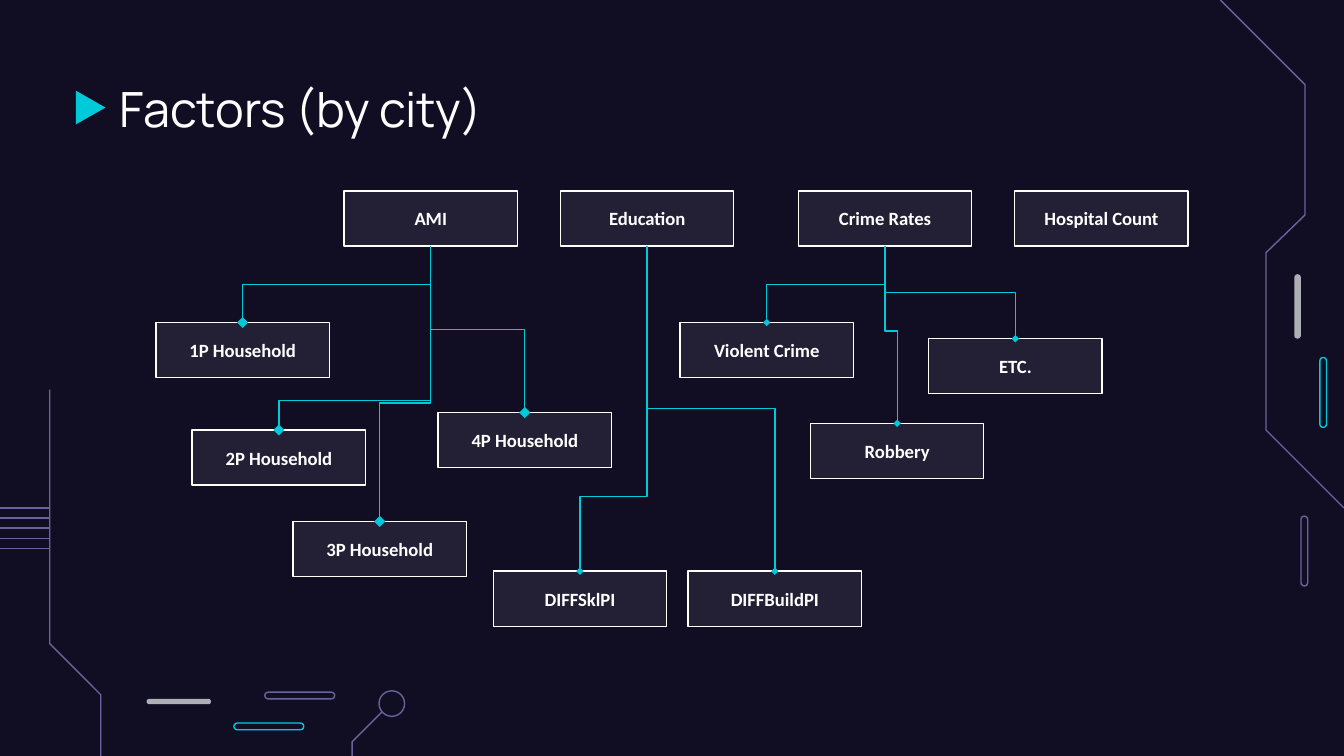
from pptx import Presentation
from pptx.dml.color import RGBColor
from pptx.enum.shapes import MSO_CONNECTOR as Link, MSO_SHAPE as Kind
from pptx.enum.text import MSO_ANCHOR as Anchor, MSO_AUTO_SIZE as Fit, PP_ALIGN as Align
from pptx.oxml.ns import qn
from pptx.oxml.xmlchemy import OxmlElement as Node
from pptx.util import Inches, Pt

NIGHT = RGBColor(0x11, 0x0E, 0x24)
WHITE = RGBColor(0xFF, 0xFF, 0xFF)
CYAN = RGBColor(0x00, 0xCA, 0xDA)
VIOLET = RGBColor(0x69, 0x63, 0x9C)
GREY = RGBColor(0xAF, 0xAF, 0xB6)
WIDE = 10
HIGH = WIDE * 9 / 16
BOX_W, BOX_H = 1.29, 0.41


def paint(shape, fill=None, line=None):
    shape.shadow.inherit = False
    if fill is None:
        shape.fill.background()
    else:
        shape.fill.solid()
        shape.fill.fore_color.rgb = fill
    if line is None:
        shape.line.fill.background()
    else:
        shape.line.color.rgb = line
        shape.line.width = Pt(0.75)


def add(slide, kind, x, y, w, h, fill=None, line=None):
    shape = slide.shapes.add_shape(kind, Inches(x), Inches(y), Inches(w), Inches(h))
    paint(shape, fill, line)
    return shape


def pill(slide, x, y, w, h, fill=None, line=None):
    add(slide, Kind.ROUNDED_RECTANGLE, x, y, w, h, fill, line).adjustments[0] = 0.5


def trace(slide, x, y, points):
    spots = [(Inches(x + dx), Inches(y + dy)) for dx, dy in points]
    form = slide.shapes.build_freeform(*spots[0])
    form.add_line_segments(spots[1:], close=False)
    paint(form.convert_to_shape(), line=VIOLET)


def wire(slide, kind, x1, y1, x2, y2, color):
    line = slide.shapes.add_connector(kind, Inches(x1), Inches(y1), Inches(x2), Inches(y2))
    line.line.color.rgb = color
    line.line.width = Pt(0.75)
    line._element.spPr.append(Node("a:effectLst"))
    return line


def right_side(slide, x, y):
    """Circuit trace and pills along the right edge."""
    trace(slide, x, y, [(0.92, 3.78), (0.34, 3.2), (0.34, 1.88), (0.63, 1.6),
                        (0.63, 0.63), (0, 0)])
    pill(slide, x + 0.55, y + 2.04, 0.05, 0.48, fill=GREY)
    pill(slide, x + 0.74, y + 2.66, 0.05, 0.52, line=CYAN)
    pill(slide, x + 0.6, y + 3.84, 0.05, 0.52, line=VIOLET)


def left_side(slide, x, y):
    """Circuit traces and pills in the lower left corner."""
    trace(slide, x, y, [(0.75, HIGH - y), (0.75, 2.27), (0.37, 1.89), (0.37, 0)])
    for i in range(5):
        rung = y + 0.88 + 0.075 * i
        wire(slide, Link.STRAIGHT, x, rung, x + 0.37, rung, VIOLET)
    pill(slide, x + 1.09, y + 2.3, 0.48, 0.04, fill=GREY)
    pill(slide, x + 1.97, y + 2.25, 0.52, 0.05, line=VIOLET)
    pill(slide, x + 1.74, y + 2.48, 0.52, 0.05, line=CYAN)
    trace(slide, x, y, [(2.84, 2.4), (2.62, 2.62), (2.62, HIGH - y)])
    add(slide, Kind.OVAL, x + 2.82, y + 2.24, 0.19, 0.19, line=VIOLET)


def heading(slide, x, y, w, h):
    """Title with the arrow marker on its left."""
    mark = add(slide, Kind.FLOWCHART_MERGE, x - 0.24, y + 0.2, 0.25, 0.22, fill=CYAN)
    mark.rotation = 270
    title = slide.shapes.title
    title.left, title.top, title.width, title.height = map(Inches, (x, y, w, h))
    frame = title.text_frame
    frame.text = "Factors (by city)"
    frame.word_wrap = True
    frame.auto_size = Fit.NONE
    frame.vertical_anchor = Anchor.MIDDLE
    frame.margin_left = frame.margin_right = Inches(0.1)
    frame.margin_top = frame.margin_bottom = Inches(0.1)
    para = frame.paragraphs[0]
    para.alignment = Align.LEFT
    para.font.name, para.font.size = "Manrope", Pt(26)
    para.font.color.rgb = WHITE


def card(slide, x, y, text):
    box = add(slide, Kind.RECTANGLE, x, y, BOX_W, BOX_H, WHITE, WHITE)
    # Fill at 8 % opacity
    alpha = Node("a:alpha")
    alpha.set("val", "8000")
    box._element.spPr.find(qn("a:solidFill"))[0].append(alpha)
    frame = box.text_frame
    frame.text = text
    frame.word_wrap = True
    frame.vertical_anchor = Anchor.MIDDLE
    para = frame.paragraphs[0]
    para.alignment = Align.CENTER
    para.font.name, para.font.size, para.font.bold = "Calibri", Pt(10), True
    para.font.color.rgb = WHITE
    return box


def branch(slide, root, kid, bend, size):
    """Elbow from the foot of root to the head of kid, turning at bend."""
    line = wire(slide, Link.ELBOW, 0, 0, 0, 0, CYAN)
    line.begin_connect(root, 2)
    line.end_connect(kid, 0)
    # A turned frame makes the elbow leave downwards
    x1, y1 = root.left + root.width // 2, root.top + root.height
    x2, y2 = kid.left + kid.width // 2, kid.top
    line.width, line.height = y2 - y1, abs(x2 - x1)
    line.left = (x1 + x2 - line.width) // 2
    line.top = (y1 + y2 - line.height) // 2
    props = line._element.spPr
    frame = props.find(qn("a:xfrm"))
    right = x2 > x1
    frame.set("rot", str((270 if right else 90) * 60000))
    frame.set("flipH", "1" if right else "0")
    frame.set("flipV", "0")
    # Place of the bend
    guide = Node("a:gd")
    guide.set("name", "adj1")
    guide.set("fmla", f"val {round(bend * 100000)}")
    props.find(qn("a:prstGeom")).get_or_add_avLst().append(guide)
    # Diamond at the kid
    tip = Node("a:tailEnd")
    for key, val in (("type", "diamond"), ("w", size), ("len", size)):
        tip.set(key, val)
    props.find(qn("a:ln")).append(tip)


def tree(slide, x, y, name, kids=(), size="sm"):
    """Root card at x, y; kids are (text, dx, dy, bend) from there."""
    root = card(slide, x, y, name)
    for text, dx, dy, bend in kids:
        branch(slide, root, card(slide, x + dx, y + dy, text), bend, size)


def main():
    deck = Presentation()
    deck.slide_width, deck.slide_height = Inches(WIDE), Inches(HIGH)
    slide = deck.slides.add_slide(deck.slide_layouts[5])
    slide.background.fill.solid()
    slide.background.fill.fore_color.rgb = NIGHT

    right_side(slide, 9.08, 0)
    left_side(slide, 0, 2.9)
    heading(slide, 0.79, 0.49, 8.43, 0.63)

    # Factor trees
    top = 1.42
    tree(slide, 2.56, top, "AMI", [
        ("1P Household", -1.4, 0.98, 0.5),
        ("2P Household", -1.13, 1.78, 0.84),
        ("3P Household", -0.38, 2.46, 0.57),
        ("4P Household", 0.7, 1.65, 0.5)], "med")
    tree(slide, 4.17, top, "Education", [
        ("DIFFSklPI", -0.5, 2.83, 0.77),
        ("DIFFBuildPI", 0.95, 2.83, 0.5)])
    tree(slide, 5.94, top, "Crime Rates", [
        ("Violent Crime", -0.88, 0.98, 0.5),
        ("Robbery", 0.09, 1.73, 0.48),
        ("ETC.", 0.97, 1.1, 0.5)])
    tree(slide, 7.55, top, "Hospital Count")

    deck.save("out.pptx")


if __name__ == "__main__":
    main()
